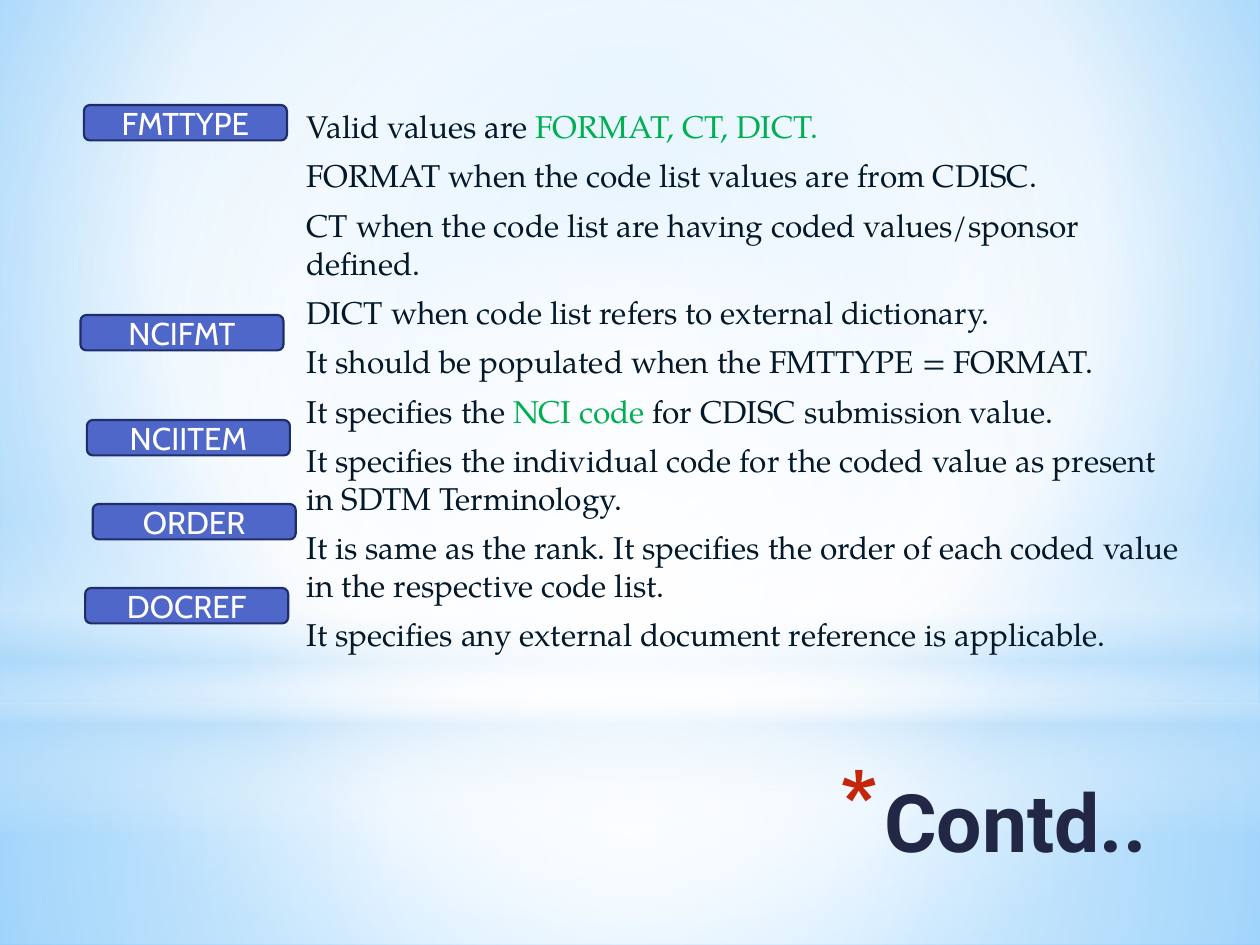
"""Build the slide that explains the code list variables."""
from dataclasses import dataclass
from typing import Optional

from pptx import Presentation
from pptx.dml.color import RGBColor as Rgb
from pptx.enum.shapes import MSO_SHAPE as Preset
from pptx.enum.text import MSO_ANCHOR as Anchor, MSO_AUTO_SIZE as AutoSize, PP_ALIGN as Align
from pptx.oxml import parse_xml
from pptx.oxml.ns import nsdecls, qn
from pptx.util import Pt

COLORS = {
    "white": "FFFFFF", "pale": "B4DCFA", "sky": "9ED5FF", "blue": "5BB9FF",
    "pill": "4E67C8", "outline": "1F2E69", "title": "212745",
    "star": "C3260C", "text": "031828", "green": "00B050",
}
CENTER = (50, 50, 50, 50)


@dataclass(frozen=True)
class Gradient:
    """Stops of position, colour and opacity; circular unless an angle is given."""
    stops: tuple[tuple[int, str, int], ...]
    focus: tuple[int, int, int, int] = CENTER
    angle: Optional[int] = None


@dataclass(frozen=True)
class Glow:
    """A translucent backdrop shape."""
    preset: Preset
    top: float
    height: float
    gradient: Gradient


@dataclass(frozen=True)
class Pill:
    """A variable label."""
    text: str
    left: float
    top: float


BACKGROUND = Gradient(((0, "sky", 100), (60, "white", 100), (100, "blue", 100)), (20, 10, 20, 60))
GLOWS = (
    Glow(Preset.RECTANGLE, 401.8, 138.2,
         Gradient(((0, "white", 91), (37, "white", 76), (100, "pale", 79)))),
    Glow(Preset.RECTANGLE, 0, 401.8,
         Gradient(((0, "white", 89), (48, "white", 62), (100, "pale", 79)))),
    Glow(Preset.RECTANGLE, 296.6, 180,
         Gradient(((0, "white", 0), (29, "white", 30), (45, "pale", 40),
                   (55, "white", 26), (65, "pale", 60), (100, "white", 0)), angle=90)),
    Glow(Preset.OVAL, 126, 401.8, Gradient(((0, "white", 100), (56, "white", 0)))),
)
PILLS = (
    Pill("FMTTYPE", 48, 60),
    Pill("NCIFMT", 46, 180),
    Pill("NCIITEM", 49.7, 240),
    Pill("ORDER", 53, 288),
    Pill("DOCREF", 48.7, 336),
)
BODY = (
    (("Valid values are ", "text"), ("FORMAT, CT, DICT.", "green")),
    (("FORMAT when the code list values are from CDISC.", "text"),),
    (("CT when the code list are having coded values/sponsor defined.", "text"),),
    (("DICT when code list refers to external dictionary.", "text"),),
    (("It should be populated when the FMTTYPE = FORMAT.", "text"),),
    (("It specifies the ", "text"), ("NCI code ", "green"),
     ("for CDISC submission value.", "text")),
    (("It specifies the individual code for the coded value as present in SDTM Terminology.",
      "text"),),
    (("It is same as the rank. It specifies the order of each coded value "
      "in the respective code list.", "text"),),
    (("It specifies any external document reference is applicable.", "text"),),
)


def color(name: str) -> Rgb:
    """Look up a colour."""
    return Rgb.from_string(COLORS[name])


def add_text(paragraph, text: str, *, font: str, size: float, fill: str, bold: bool = False) -> None:
    """Add a formatted run to a paragraph."""
    run = paragraph.add_run()
    run.text = text
    run.font.name = font
    run.font.size = Pt(size)
    run.font.bold = bold
    run.font.color.rgb = color(fill)


def apply_gradient(owner, gradient: Gradient) -> None:
    """Give a shape or a slide background a gradient fill."""
    fill = owner.fill if hasattr(owner, "fill") else owner.background.fill
    fill.gradient()
    stops = "".join(
        f'<a:gs pos="{position * 1000}"><a:srgbClr val="{COLORS[name]}">'
        f'<a:alpha val="{opacity * 1000}"/></a:srgbClr></a:gs>'
        for position, name, opacity in gradient.stops)
    if gradient.angle is None:
        sides = " ".join(f'{side}="{value * 1000}"' for side, value in zip("ltrb", gradient.focus))
        direction = f'<a:path path="circle"><a:fillToRect {sides}/></a:path>'
    else:
        direction = f'<a:lin ang="{gradient.angle * 60000}" scaled="0"/>'
    element = owner._element.find(f".//{qn('a:gradFill')}")
    element.getparent().replace(element, parse_xml(
        f'<a:gradFill {nsdecls("a")} rotWithShape="1"><a:gsLst>{stops}</a:gsLst>{direction}</a:gradFill>'))


def add_glow(slide, glow: Glow) -> None:
    """Draw a full-width backdrop shape."""
    shape = slide.shapes.add_shape(glow.preset, 0, Pt(glow.top), Pt(720), Pt(glow.height))
    shape.shadow.inherit = False
    shape.line.fill.background()
    apply_gradient(shape, glow.gradient)


def add_title(slide) -> None:
    """Place the title with its star bullet above the backdrop."""
    title = slide.shapes.title
    slide.shapes._spTree.append(title._element)
    title.left, title.top, title.width, title.height = Pt(149.8), Pt(437.8), Pt(512.6), Pt(90)
    frame = title.text_frame
    frame.auto_size = AutoSize.NONE
    frame.vertical_anchor = Anchor.TOP
    paragraph = frame.paragraphs[0]
    paragraph.alignment = Align.RIGHT
    properties = paragraph._p.get_or_add_pPr()
    indent = Pt(25.2)
    properties.set("marL", str(indent))
    properties.set("indent", str(-indent))
    for bullet in (f'<a:buClr {nsdecls("a")}><a:srgbClr val="{COLORS["star"]}"/></a:buClr>',
                   f'<a:buSzPct {nsdecls("a")} val="128000"/>',
                   f'<a:buChar {nsdecls("a")} char="*"/>'):
        properties.append(parse_xml(bullet))
    add_text(paragraph, "Contd..", font="Roboto", size=46, fill="title", bold=True)


def add_body(slide) -> None:
    """Write the explanations to the right of the labels."""
    box = slide.shapes.add_textbox(Pt(24), Pt(57.6), Pt(660), Pt(362))
    frame = box.text_frame
    frame.word_wrap = True
    frame.margin_left = Pt(151.2)
    for index, parts in enumerate(BODY):
        paragraph = frame.add_paragraph() if index else frame.paragraphs[0]
        paragraph.space_before = Pt(3.6 if index else 0)
        paragraph.space_after = Pt(3)
        for text, fill in parts:
            add_text(paragraph, text, font="TeX Gyre Pagella", size=18, fill=fill)


def add_pill(slide, pill: Pill) -> None:
    """Draw a rounded variable label."""
    shape = slide.shapes.add_shape(
        Preset.ROUNDED_RECTANGLE, Pt(pill.left), Pt(pill.top), Pt(116), Pt(20.2))
    shape.shadow.inherit = False
    shape.fill.solid()
    shape.fill.fore_color.rgb = color("pill")
    shape.line.color.rgb = color("outline")
    shape.line.width = Pt(1.25)
    shape.text_frame.vertical_anchor = Anchor.MIDDLE
    paragraph = shape.text_frame.paragraphs[0]
    paragraph.alignment = Align.CENTER
    add_text(paragraph, pill.text, font="Cabin", size=18, fill="white")


def main() -> None:
    """Build and save the presentation."""
    presentation = Presentation()
    presentation.slide_width, presentation.slide_height = Pt(720), Pt(540)
    slide = presentation.slides.add_slide(presentation.slide_layouts[5])
    apply_gradient(slide, BACKGROUND)
    for glow in GLOWS:
        add_glow(slide, glow)
    add_title(slide)
    add_body(slide)
    for pill in PILLS:
        add_pill(slide, pill)
    presentation.save("out.pptx")


if __name__ == "__main__":
    main()
